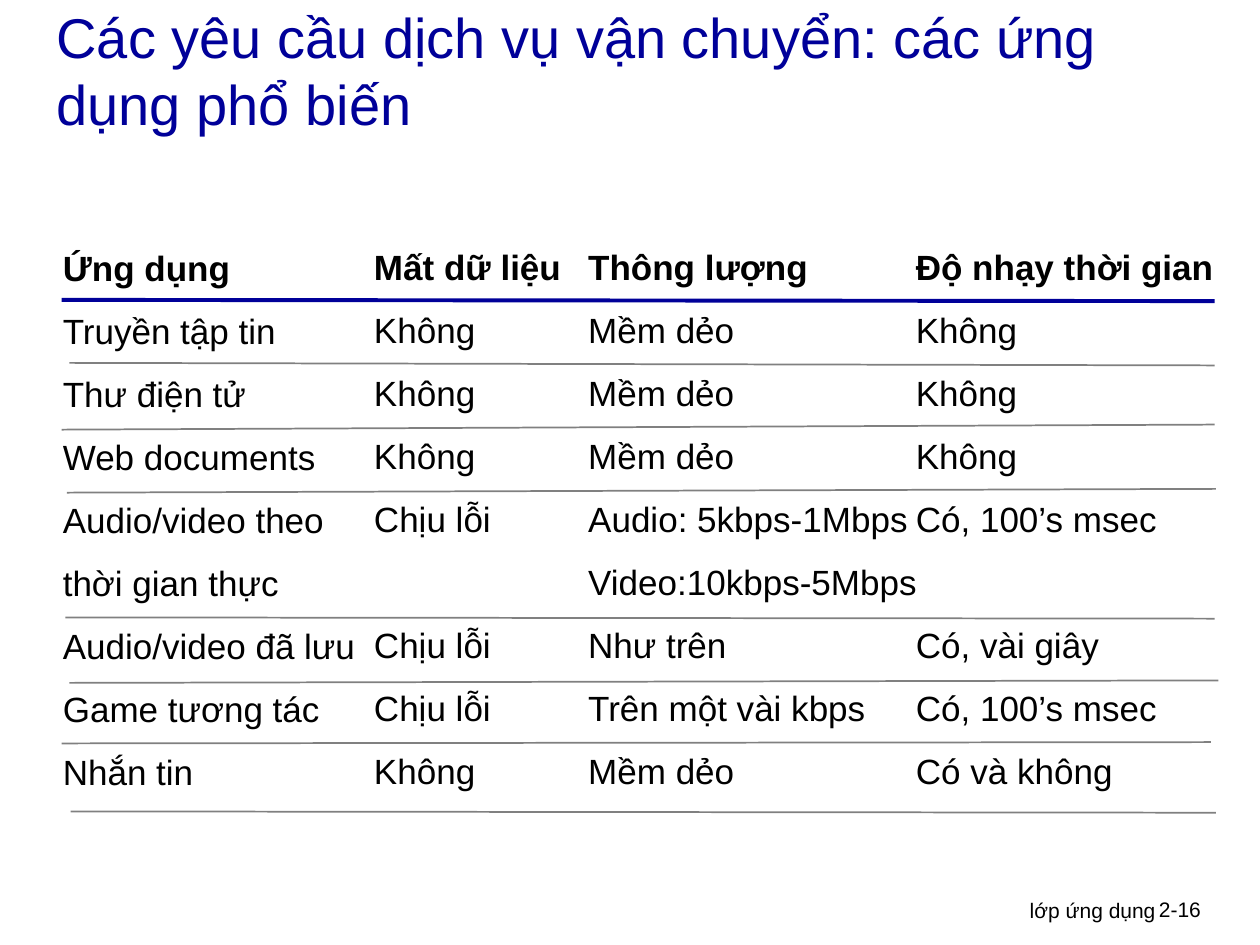
from pptx import Presentation
from pptx.dml.color import RGBColor
from pptx.enum.shapes import MSO_CONNECTOR
from pptx.enum.text import MSO_ANCHOR, PP_ALIGN
from pptx.oxml.ns import qn
from pptx.util import Inches, Pt
from lxml.etree import SubElement

NAVY = RGBColor(0x00, 0x00, 0x99)
BLACK = RGBColor(0x00, 0x00, 0x00)
GRAY = RGBColor(0x80, 0x80, 0x80)

ROW_GAP = 12
ROW_PITCH = 36

COLUMNS = [
    (0.4, 1.91, 2.55, 4.81, [
        "Ứng dụng", "Truyền tập tin", "Thư điện tử", "Web documents",
        "Audio/video theo", "thời gian thực", "Audio/video đã lưu",
        "Game tương tác", "Nhắn tin"]),
    (2.87, 1.9, 1.7, 4.48, [
        "Mất dữ liệu", "Không", "Không", "Không", "Chịu lỗi", None,
        "Chịu lỗi", "Chịu lỗi", "Không"]),
    (4.57, 1.9, 2.83, 4.48, [
        "Thông lượng", "Mềm dẻo", "Mềm dẻo", "Mềm dẻo",
        "Audio: 5kbps-1Mbps", "Video:10kbps-5Mbps", "Như trên",
        "Trên một vài kbps", "Mềm dẻo"]),
    (7.17, 1.9, 2.58, 4.48, [
        "Độ nhạy thời gian", "Không", "Không", "Không", "Có, 100’s msec",
        None, "Có, vài giây", "Có, 100’s msec", "Có và không"]),
]

ROW_RULES = [
    (0.55, 2.88, 9.64, 2.9),
    (0.49, 3.41, 9.64, 3.37),
    (0.53, 3.91, 9.65, 3.88),
    (0.52, 4.9, 9.64, 4.91),
    (0.55, 5.42, 9.67, 5.4),
    (0.49, 5.9, 9.61, 5.89),
    (0.56, 6.44, 9.65, 6.45),
]


class SlideBuilder:
    font = "Arial"

    def __init__(self, s):
        self.s = s

    def frame(self, x, y, w, h, anchor=MSO_ANCHOR.TOP):
        sp = self.s.shapes.add_textbox(Inches(x), Inches(y), Inches(w), Inches(h))
        tf = sp.text_frame
        tf.word_wrap = True
        tf.vertical_anchor = anchor
        return tf

    def run(self, p, text, size, color=BLACK, bold=False):
        r = p.add_run()
        r.text = text
        r.font.name = self.font
        r.font.size = Pt(size)
        r.font.bold = bold
        r.font.color.rgb = color

    def label(self, x, y, w, h, text, size=12, color=BLACK,
              align=PP_ALIGN.LEFT, anchor=MSO_ANCHOR.TOP):
        p = self.frame(x, y, w, h, anchor).paragraphs[0]
        p.alignment = align
        self.run(p, text, size, color)

    def column(self, x, y, w, h, entries):
        tf = self.frame(x, y, w, h)
        header, *rows = entries
        self.run(tf.paragraphs[0], header, 20, bold=True)
        gap = ROW_GAP
        for text in rows:
            if text is None:
                gap += ROW_PITCH
                continue
            p = tf.add_paragraph()
            p.space_before = Pt(gap)
            self.run(p, text, 20)
            gap = ROW_GAP

    def rule(self, x1, y1, x2, y2, color=GRAY, width=1):
        line = self.s.shapes.add_connector(
            MSO_CONNECTOR.STRAIGHT, Inches(x1), Inches(y1), Inches(x2), Inches(y2))
        line.line.color.rgb = color
        line.line.width = Pt(width)
        SubElement(line._element.spPr, qn("a:effectLst"))


def main():
    prs = Presentation()
    prs.slide_width, prs.slide_height = Inches(10), Inches(7.5)
    slide = SlideBuilder(prs.slides.add_slide(prs.slide_layouts[6]))

    slide.label(6.1, 7.07, 3.17, 0.31, "lớp ứng dụng", align=PP_ALIGN.RIGHT)
    slide.label(9.1, 7.07, 0.74, 0.3, "2-16")
    slide.label(0.35, 0.11, 8.97, 0.89,
                "Các yêu cầu dịch vụ vận chuyển: các ứng dụng phổ biến",
                size=32, color=NAVY, anchor=MSO_ANCHOR.MIDDLE)

    for column in COLUMNS:
        slide.column(*column)

    slide.rule(0.49, 2.38, 9.64, 2.39, NAVY, 2.25)
    for ends in ROW_RULES:
        slide.rule(*ends)

    prs.save("out.pptx")


if __name__ == "__main__":
    main()
